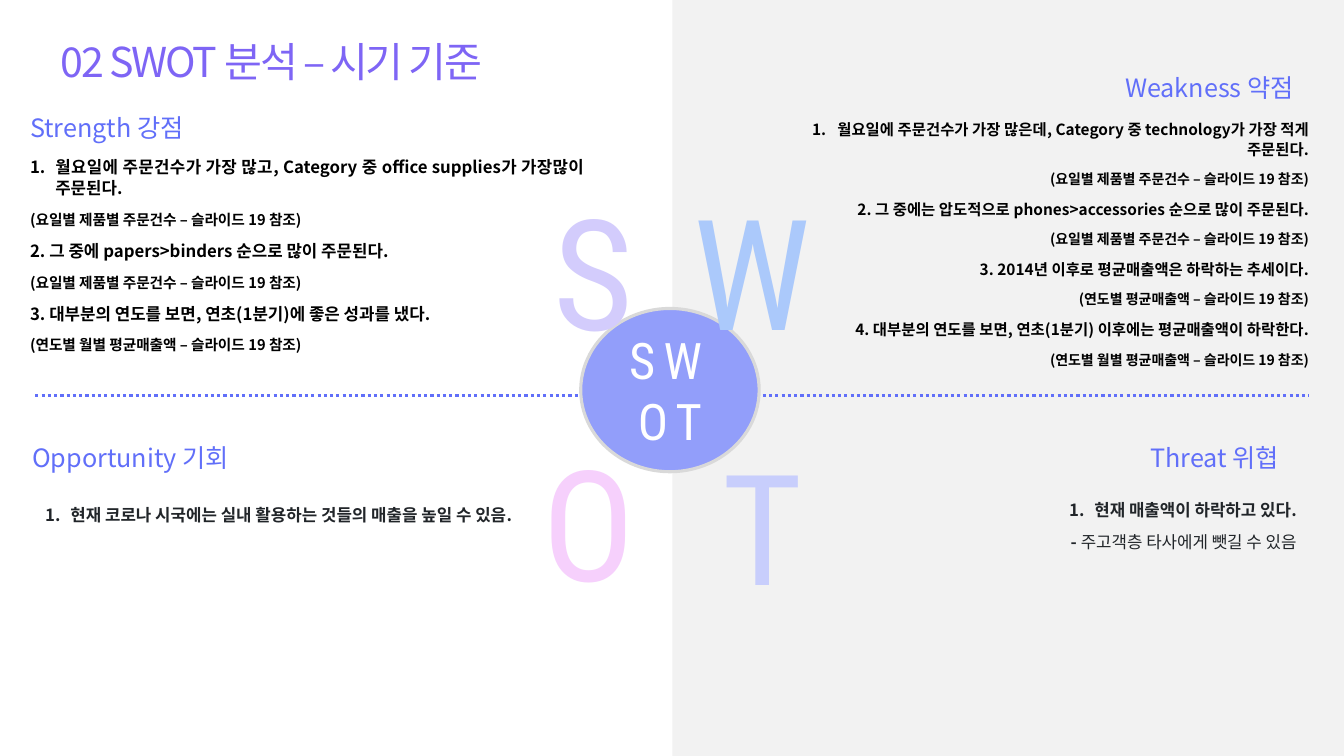
from dataclasses import dataclass
from lxml.etree import SubElement as Sub
from pptx import Presentation
from pptx.dml.color import RGBColor as Color
from pptx.enum.dml import MSO_LINE_DASH_STYLE as Dash
from pptx.enum.shapes import MSO_CONNECTOR as Link, MSO_SHAPE as Shape
from pptx.enum.text import MSO_ANCHOR as Anchor, MSO_AUTO_SIZE as Auto, PP_ALIGN as Align
from pptx.oxml.ns import qn
from pptx.util import Pt

SCALE = 9144


@dataclass(frozen=True)
class Theme:
    sans: str = "Noto Sans CJK KR"
    slim: str = "Roboto Condensed"
    panel: str = "F2F2F2"
    title: str = "7E65F5"
    head: str = "616FF9"
    disc: str = "929EFA"
    rim: str = "D9D9D9"
    white: str = "FFFFFF"
    black: str = "000000"
    dark: str = "212529"
    lilac: str = "D3CCFC"
    sky: str = "ABC9FB"
    pink: str = "F6D0FC"
    mist: str = "C8CEFC"
    title_size: float = 29.4
    head_size: float = 18
    disc_size: float = 36
    giant: float = 110
    body: float = 12
    note: float = 10.5
    small: float = 11
    fine: float = 10
    stroke: float = 2.25


class Board:
    def __init__(self, slide, theme):
        self.slide = slide
        self.theme = theme

    def style(self, run, size, color, face=None, bold=False, gap=0):
        font = run.font
        font.size = Pt(size)
        font.bold = bold
        font.color.rgb = Color.from_string(color)
        font.name = face or self.theme.sans
        props = run._r.get_or_add_rPr()
        Sub(props, qn("a:ea"), typeface=font.name)
        if gap:
            props.set("spc", str(gap))

    def title(self, text, *box):
        shape = self.slide.shapes.title
        shape.left, shape.top, shape.width, shape.height = (n * SCALE for n in box)
        frame = shape.text_frame
        frame.text = text
        frame.auto_size = Auto.NONE
        frame.vertical_anchor = Anchor.MIDDLE
        para = frame.paragraphs[0]
        para.alignment = Align.LEFT
        self.style(para.runs[0], self.theme.title_size, self.theme.title, gap=-150)

    def shape(self, kind, box, fill, rim=None):
        shape = self.slide.shapes.add_shape(kind, *(n * SCALE for n in box))
        shape.shadow.inherit = False
        shape.fill.solid()
        shape.fill.fore_color.rgb = Color.from_string(fill)
        if rim:
            shape.line.color.rgb = Color.from_string(rim)
            shape.line.width = Pt(self.theme.stroke)
        else:
            shape.line.fill.background()
        return shape

    def disc(self, text, *box):
        frame = self.shape(Shape.OVAL, box, self.theme.disc, self.theme.rim).text_frame
        frame.word_wrap = True
        frame.vertical_anchor = Anchor.MIDDLE
        frame.text = text
        para = frame.paragraphs[0]
        para.alignment = Align.CENTER
        self.style(para.runs[0], self.theme.disc_size, self.theme.white, self.theme.slim, gap=600)

    def rule(self, left, right, top):
        line = self.slide.shapes.add_connector(Link.STRAIGHT, *(n * SCALE for n in (left, top, right, top)))
        line.line.color.rgb = Color.from_string(self.theme.head)
        line.line.width = Pt(self.theme.stroke)
        line.line.dash_style = Dash.ROUND_DOT
        Sub(line._element.spPr, qn("a:effectLst"))

    def frame(self, box):
        frame = self.slide.shapes.add_textbox(*(n * SCALE for n in box)).text_frame
        frame.word_wrap = True
        return frame

    def label(self, text, box, size, color, face=None):
        frame = self.frame(box)
        frame.text = text
        self.style(frame.paragraphs[0].runs[0], size, color, face)

    def points(self, lines, box, align, size, note, color):
        frame = self.frame(box)
        for i, line in enumerate(lines):
            para = frame.paragraphs[0] if i == 0 else frame.add_paragraph()
            para.text = line
            para.alignment = align
            para.line_spacing = 1.07
            para.space_after = Pt(8)
            if i == 0:
                props = para._p.get_or_add_pPr()
                props.set("marL", str(25 * SCALE))
                props.set("indent", str(-25 * SCALE))
                Sub(props, qn("a:buFont"), typeface="+mj-lt")
                Sub(props, qn("a:buAutoNum"), type="arabicPeriod")
            self.style(para.runs[0], note if line.startswith("(") else size, color, bold=True)
        return frame


def main():
    deck = Presentation()
    deck.slide_width, deck.slide_height = 1333 * SCALE, 750 * SCALE
    theme = Theme()
    board = Board(deck.slides.add_slide(deck.slide_layouts[5]), theme)

    board.shape(Shape.RECTANGLE, (667, 0, 666, 750), theme.panel)
    board.title("02 SWOT 분석 – 시기 기준", 50, 31, 767, 60)
    board.rule(35, 1298, 392)
    board.disc("SWOT", 576, 306, 177, 162)

    for text, left, top, color in (
        ("S", 539, 170, theme.lilac),
        ("W", 678, 170, theme.sky),
        ("O", 528, 419, theme.pink),
        ("T", 707, 423, theme.mist),
    ):
        board.label(text, (left, top, 81, 195), theme.giant, color, theme.slim)

    for text, left, top, width in (
        ("Strength 강점", 20, 107, 217),
        ("Weakness 약점", 1106, 67, 203),
        ("Opportunity 기회", 22, 434, 250),
        ("Threat 위협", 1131, 434, 180),
    ):
        board.label(text, (left, top, width, 40), theme.head_size, theme.head)

    daily = "(요일별 제품별 주문건수 – 슬라이드 19 참조)"
    monthly = "(연도별 월별 평균매출액 – 슬라이드 19 참조)"
    board.points([
        "월요일에 주문건수가 가장 많고, Category 중 office supplies가 가장많이 주문된다.",
        daily,
        "2. 그 중에 papers>binders 순으로 많이 주문된다.",
        daily,
        "3. 대부분의 연도를 보면, 연초(1분기)에 좋은 성과를 냈다.",
        monthly,
    ], (20, 149, 569, 216), Align.JUSTIFY, theme.body, theme.note, theme.black)
    threat = board.points([
        "현재 매출액이 하락하고 있다.",
        "- ",
    ], (822, 489, 474, 63), Align.RIGHT, theme.body, theme.note, theme.dark)
    run = threat.paragraphs[1].add_run()
    run.text = "주고객층 타사에게 뺏길 수 있음"
    board.style(run, theme.body, theme.dark)
    board.points([
        "월요일에 주문건수가 가장 많은데, Category 중 technology가 가장 적게 주문된다.",
        daily,
        "2. 그 중에는 압도적으로 phones>accessories 순으로 많이 주문된다.",
        daily,
        "3. 2014년 이후로 평균매출액은 하락하는 추세이다.",
        "(연도별 평균매출액 – 슬라이드 19 참조)",
        "4. 대부분의 연도를 보면, 연초(1분기) 이후에는 평균매출액이 하락한다.",
        monthly,
    ], (739, 113, 569, 259), Align.RIGHT, theme.small, theme.fine, theme.black)
    board.points([
        "현재 코로나 시국에는 실내 활용하는 것들의 매출을 높일 수 있음.",
    ], (35, 494, 528, 31), Align.LEFT, theme.body, theme.note, theme.dark)

    deck.save("out.pptx")


if __name__ == "__main__":
    main()
